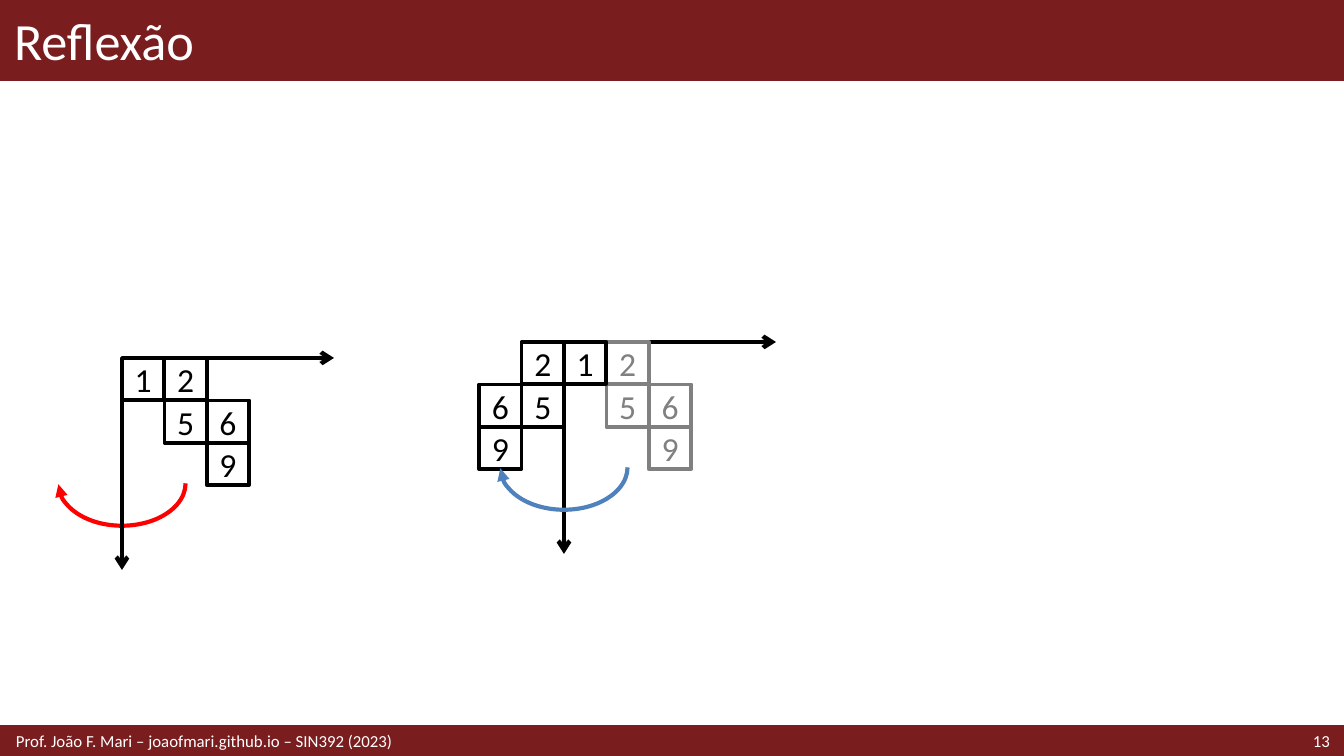
"""Build the slide "Reflexão": a pixel grid mirrored across the vertical axis."""
from lxml import etree
from pptx import Presentation
from pptx import util as u
from pptx.dml.color import RGBColor
from pptx.enum import shapes, text
from pptx.oxml.ns import qn

PX = 914400 / 134.4
WIDTH, HEIGHT = 1344, 756
MAROON, WHITE, BLACK, GREY, RED, BLUE = "791D1F", "FFFFFF", "000000", "808080", "FF0000", "4F81BD"

TITLE = "Reflexão"
BARS = [((0, 0, WIDTH, 80), 1), ((0, 727, WIDTH, 28), 2)]
FOOTER = [
    ("Prof. João F. Mari – joaofmari.github.io – SIN392 (2023)", (0, 727, 926, 28), "LEFT"),
    ("13", (1191, 727, 153, 28), "RIGHT"),
]
PIXELS = [("1", 0, 0), ("2", 1, 0), ("5", 1, 1), ("6", 2, 1), ("9", 2, 2)]
BEFORE, AFTER = (122, 358), (564, 342)
AXIS = 212
CELL = AXIS / 5
ARC_DROP = 83


def emu(*lengths):
    return [u.Emu(round(v * PX)) for v in lengths]


def color(value):
    return RGBColor.from_string(value)


def write(sp, words, size, ink, align, inset=14):
    tf = sp.text_frame
    side = emu(inset)[0]
    frame = dict(word_wrap=True, auto_size=text.MSO_AUTO_SIZE.NONE,
                 vertical_anchor=text.MSO_ANCHOR.MIDDLE, margin_left=side,
                 margin_right=side, margin_top=0, margin_bottom=0)
    for name, value in frame.items():
        setattr(tf, name, value)
    p = tf.paragraphs[0]
    p.alignment = getattr(text.PP_ALIGN, align)
    r = p.add_run()
    r.text = words
    for name, value in dict(name="Calibri", size=u.Pt(size)).items():
        setattr(r.font, name, value)
    r.font.color.rgb = color(ink)


def outline(sp, ink, width):
    sp.line.color.rgb = color(ink)
    sp.line.width = u.Pt(width)


def arrowhead(sp, end, kind):
    etree.SubElement(sp.line._get_or_add_ln(), qn("a:" + end), type=kind)


def add_shape(parent, kind, box, fill, ink, width):
    sp = parent.shapes.add_shape(getattr(shapes.MSO_SHAPE, kind), *emu(*box))
    sp.shadow.inherit = False
    if fill:
        sp.fill.solid()
        sp.fill.fore_color.rgb = color(fill)
    else:
        sp.fill.background()
    outline(sp, ink, width)
    return sp


def add_axes(s, origin):
    x, y = origin
    for end in [(x, y + AXIS), (x + AXIS, y)]:
        line = s.shapes.add_connector(shapes.MSO_CONNECTOR.STRAIGHT, *emu(x, y, *end))
        outline(line, BLACK, 2.25)
        arrowhead(line, "tailEnd", "arrow")
        etree.SubElement(line._element.spPr, qn("a:effectLst"))


def add_grid(s, origin, ink, mirrored=False):
    group = s.shapes.add_group_shape()
    for digit, col, row in PIXELS:
        x = origin[0] + (-col if mirrored else col) * CELL
        y = origin[1] + row * CELL
        fill = WHITE if mirrored and col == 0 else None
        sp = add_shape(group, "RECTANGLE", (x, y, CELL, CELL), fill, ink, 2)
        write(sp, digit, 18, ink, "CENTER", 0)


def add_turn(s, origin, ink):
    box = (origin[0] - 1.5 * CELL, origin[1] + ARC_DROP, 3 * CELL, 2 * CELL)
    arc = add_shape(s, "ARC", box, None, ink, 2.25)
    arc.adjustments[0], arc.adjustments[1] = 108.5, 0
    arc._element.spPr.xfrm.set("flipV", "1")
    arrowhead(arc, "headEnd", "triangle")


def main():
    prs = Presentation()
    prs.slide_width, prs.slide_height = emu(WIDTH, HEIGHT)
    s = prs.slides.add_slide(prs.slide_layouts[5])
    for index, (box, width) in enumerate(BARS):
        bar = add_shape(s, "RECTANGLE", box, MAROON, MAROON, width)
        s.shapes._spTree.insert(2 + index, bar._element)
    title = s.shapes.title
    for name, value in zip(("left", "top", "width", "height"), emu(*BARS[0][0])):
        setattr(title, name, value)
    write(title, TITLE, 28, WHITE, "LEFT")
    for words, box, align in FOOTER:
        write(s.shapes.add_textbox(*emu(*box)), words, 9, WHITE, align, 16 if align == "LEFT" else 14)

    add_turn(s, BEFORE, RED)
    add_axes(s, BEFORE)
    add_grid(s, BEFORE, BLACK)

    add_axes(s, AFTER)
    add_grid(s, AFTER, GREY)
    add_grid(s, AFTER, BLACK, mirrored=True)
    add_turn(s, AFTER, BLUE)
    prs.save("out.pptx")


if __name__ == "__main__":
    main()
